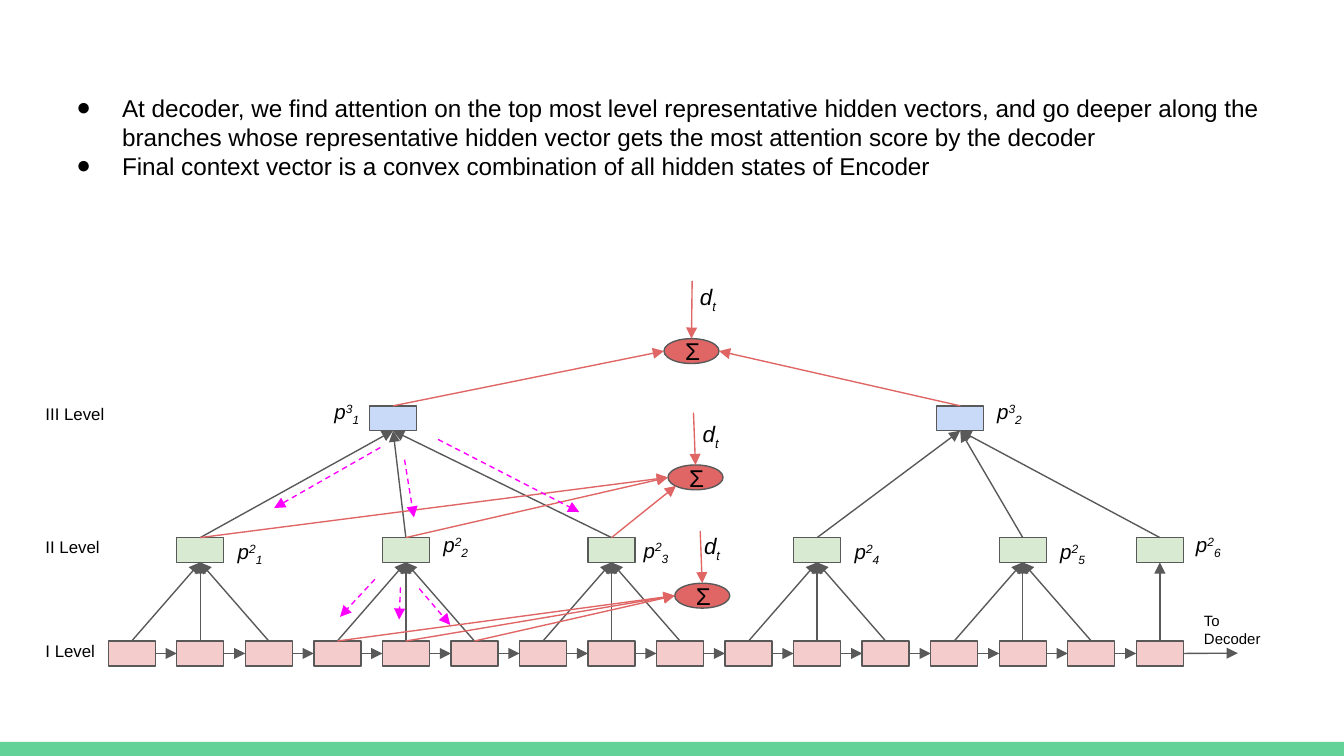
from dataclasses import dataclass

from lxml.etree import SubElement
from pptx import Presentation
from pptx.dml.color import RGBColor
from pptx.enum.dml import MSO_LINE
from pptx.enum.shapes import MSO_CONNECTOR, MSO_SHAPE
from pptx.enum.text import MSO_ANCHOR, PP_ALIGN
from pptx.oxml.ns import qn
from pptx.util import Inches, Pt


@dataclass(frozen=True)
class Theme:
    font: str = "Arial"
    ink: str = "000000"
    line: str = "595959"
    level1: str = "F4CCCC"
    level2: str = "D9EAD3"
    level3: str = "C9DAF8"
    attention: str = "E06666"
    descent: str = "FF00FF"
    bar: str = "63D297"
    body: int = 13
    decoder: int = 12
    symbol: int = 11
    level: int = 9
    note: int = 8
    stroke: float = 0.75


THEME = Theme()
COLUMNS, ROWS = 100, 56.25
CELL = Inches(0.1)
NODE_W, NODE_H = 3.5, 1.85
FIRST_X, PITCH = 8.05, 5.1
LEVEL_Y = {1: 47.7, 2: 40, 3: 30.2}
SUM_W, SUM_H = 4.1, 1.85
TOP, LEFT, BOTTOM, RIGHT = range(4)
SUPER, SUB = 30, -25


def cells(*counts):
    return [round(n * CELL) for n in counts]


def rgb(color):
    return RGBColor.from_string(color)


def write(p, text, size=THEME.body, italic=False, baseline=0):
    r = p.add_run()
    r.text = text
    r.font.name = THEME.font
    r.font.size = Pt(size)
    r.font.italic = italic
    r.font.color.rgb = rgb(THEME.ink)
    if baseline:
        r.font._element.set("baseline", str(baseline * 1000))


def set_frame(tf, anchor=MSO_ANCHOR.TOP):
    tf.word_wrap = True
    tf.vertical_anchor = anchor
    tf.margin_left = tf.margin_right = tf.margin_top = tf.margin_bottom = CELL
    tf.paragraphs[0].alignment = PP_ALIGN.LEFT
    return tf


def add_label(slide, x, y, w, h, *runs, **style):
    tf = set_frame(slide.shapes.add_textbox(*cells(x, y, w, h)).text_frame)
    for text, baseline in runs:
        write(tf.paragraphs[0], text, baseline=baseline, **style)


def add_figure(slide, kind, x, y, w, h, fill, line=THEME.line):
    sp = slide.shapes.add_shape(kind, *cells(x, y, w, h))
    sp.shadow.inherit = False
    sp.fill.solid()
    sp.fill.fore_color.rgb = rgb(fill)
    if line:
        sp.line.color.rgb = rgb(line)
        sp.line.width = Pt(THEME.stroke)
    else:
        sp.line.fill.background()
    return sp


def add_node(slide, x, level, fill):
    return add_figure(slide, MSO_SHAPE.RECTANGLE, x, LEVEL_Y[level], NODE_W, NODE_H, fill)


def add_arrow(slide, start, end, color=THEME.line, dashed=False):
    cxn = slide.shapes.add_connector(MSO_CONNECTOR.STRAIGHT, 0, 0, 0, 0)
    if isinstance(start[0], (int, float)):
        cxn.begin_x, cxn.begin_y = cells(*start)
    else:
        cxn.begin_connect(*start)
    if isinstance(end[0], (int, float)):
        cxn.end_x, cxn.end_y = cells(*end)
    else:
        cxn.end_connect(*end)
    cxn.line.color.rgb = rgb(color)
    cxn.line.width = Pt(THEME.stroke)
    if dashed:
        cxn.line.dash_style = MSO_LINE.DASH
    SubElement(cxn.line._get_or_add_ln(), qn("a:tailEnd"), type="triangle")
    SubElement(cxn._element.spPr, qn("a:effectLst"))


def add_vector_label(slide, x, y, level, index):
    add_label(slide, x, y, 4.1, 3.7, ("p", 0), (str(level), SUPER), (str(index), SUB),
              size=THEME.symbol, italic=True)


def add_sum(slide, x, y, query, label, sources):
    sp = add_figure(slide, MSO_SHAPE.OVAL, x, y, SUM_W, SUM_H, THEME.attention)
    tf = set_frame(sp.text_frame, MSO_ANCHOR.MIDDLE)
    write(tf.paragraphs[0], "Σ")
    add_arrow(slide, query, (x + SUM_W / 2, y), THEME.attention)
    for node, dx, dy in sources:
        add_arrow(slide, (node, TOP), (x + dx, y + dy), THEME.attention)
    add_label(slide, *label, 3.5, 2.7, ("d", 0), ("t", SUB), size=THEME.decoder, italic=True)


def add_bullets(slide, x, y, w, h, items):
    tf = set_frame(slide.shapes.add_textbox(*cells(x, y, w, h)).text_frame)
    for i, item in enumerate(items):
        p = tf.add_paragraph() if i else tf.paragraphs[0]
        pPr = p._p.get_or_add_pPr()
        pPr.set("marL", str(Inches(0.5)))
        pPr.set("indent", str(Inches(-0.34)))
        color = SubElement(pPr, qn("a:buClr"))
        SubElement(color, qn("a:srgbClr"), val=THEME.ink)
        SubElement(pPr, qn("a:buFont"), typeface=THEME.font)
        SubElement(pPr, qn("a:buChar"), char="●")
        write(p, item)


def add_hierarchy(slide):
    states = [add_node(slide, FIRST_X + PITCH * i, 1, THEME.level1) for i in range(16)]
    for left, right in zip(states, states[1:]):
        add_arrow(slide, (left, RIGHT), (right, LEFT))
    add_arrow(slide, (states[-1], RIGHT), (92.1, 48.6))

    groups = [states[i:i + 3] for i in range(0, len(states), 3)]
    middles = []
    for i, group in enumerate(groups):
        column = 3 * i + len(group) // 2
        middles.append(add_node(slide, FIRST_X + PITCH * column, 2, THEME.level2))
    tops = [add_node(slide, x, 3, THEME.level3) for x in (27.5, 69.7)]
    for parent, children in zip(middles + tops, groups + [middles[:3], middles[3:]]):
        for child in children:
            add_arrow(slide, (child, TOP), (parent, BOTTOM))
    return states, middles, tops


def add_labels(slide):
    for text, y in (("I Level", 46.9), ("II Level", 39.2), ("III Level", 29.3)):
        add_label(slide, 2.4, y, 6.6, 2.7, (text, 0), size=THEME.level)
    add_label(slide, 88.6, 44.5, 6.2, 3.7, ("To Decoder", 0), size=THEME.note)
    for i, x in enumerate((23.9, 73.2), 1):
        add_vector_label(slide, x, 28.7, 3, i)
    places = ((16.7, 39.1), (32, 38.6), (46.9, 39), (62.6, 39.1), (77.9, 39.1), (88, 38.6))
    for i, (x, y) in enumerate(places, 1):
        add_vector_label(slide, x, y, 2, i)


def add_attention(slide, states, middles, tops):
    mid = SUM_H / 2
    add_sum(slide, 49.4, 25.2, (51.5, 20.9), (51.1, 20.1),
            [(tops[0], 0, mid), (tops[1], SUM_W, mid)])
    add_sum(slide, 49.7, 34.6, (51.6, 30.7), (51.3, 30.3),
            [(middles[0], 0, mid), (middles[1], 0, mid), (middles[2], 0.6, 1.55)])
    add_sum(slide, 50.2, 43.4, (52.1, 39.5), (51.4, 38.6),
            [(state, 0, mid) for state in states[3:6]])


def add_descent(slide):
    for start, end in (
        ((28.3, 33.3), (20.4, 37.8)),
        ((30.1, 34.2), (30.8, 38.5)),
        ((32.6, 32.7), (43.1, 38.1)),
        ((27.9, 43.1), (25.3, 45.9)),
        ((29.8, 43.7), (29.7, 46.1)),
        ((31.2, 43.8), (33.5, 46.5)),
    ):
        add_arrow(slide, start, end, THEME.descent, dashed=True)


def main():
    prs = Presentation()
    prs.slide_width, prs.slide_height = cells(COLUMNS, ROWS)
    slide = prs.slides.add_slide(prs.slide_layouts[6])
    add_figure(slide, MSO_SHAPE.RECTANGLE, 0, 55.2, COLUMNS, ROWS - 55.2, THEME.bar, line=None)
    nodes = add_hierarchy(slide)
    add_labels(slide)
    add_attention(slide, *nodes)
    add_descent(slide)
    add_bullets(slide, 3.1, 5.9, 93.8, 10.1, [
        "At decoder, we find attention on the top most level representative hidden vectors, "
        "and go deeper along the branches whose representative hidden vector gets the most "
        "attention score by the decoder",
        "Final context vector is a convex combination of all hidden states of Encoder",
    ])
    prs.save("out.pptx")


if __name__ == "__main__":
    main()
